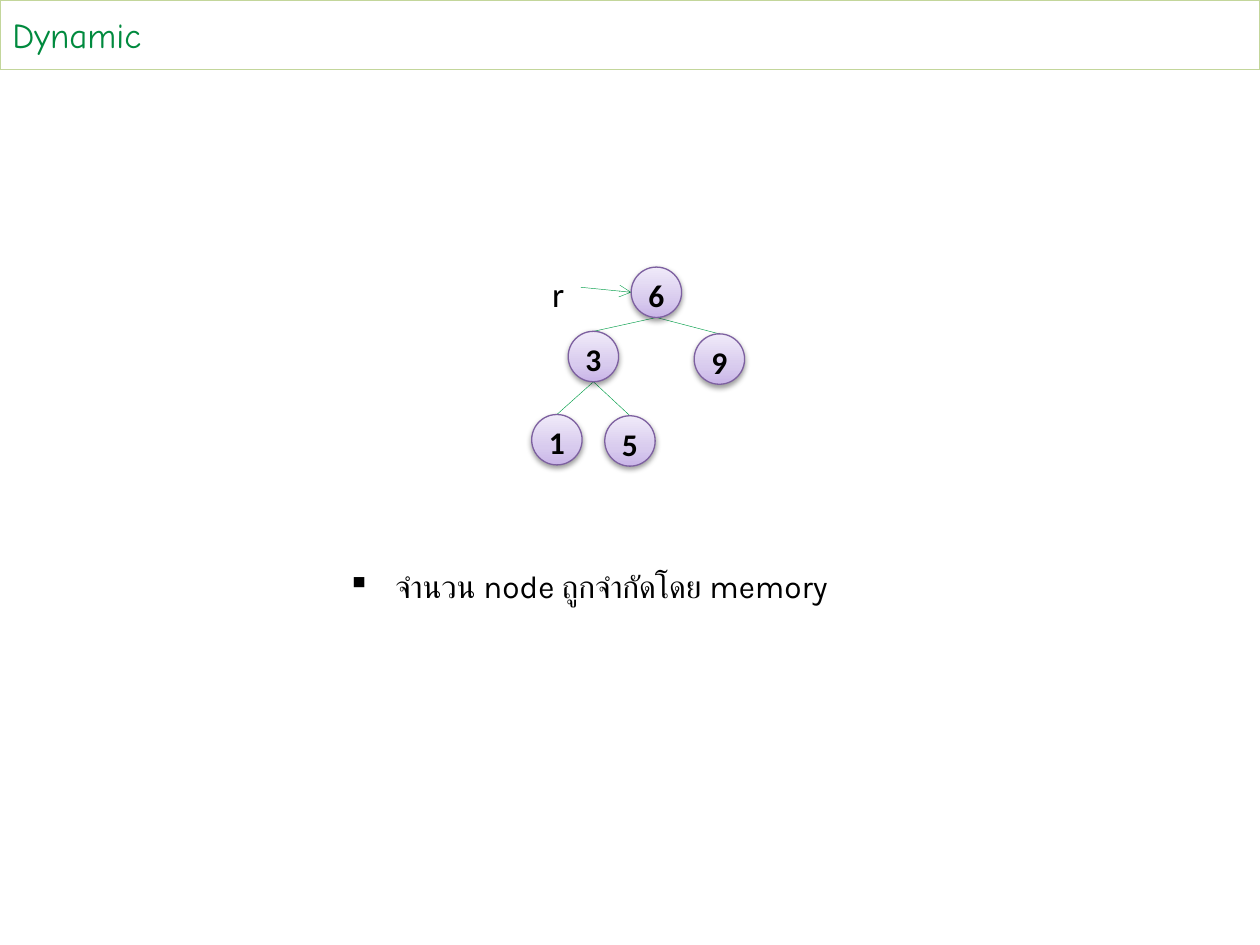
from collections import namedtuple
from dataclasses import dataclass

from lxml.etree import SubElement
from pptx import Presentation
from pptx.dml.color import RGBColor
from pptx.enum.shapes import MSO_CONNECTOR as Link, MSO_SHAPE as Preset
from pptx.enum.text import MSO_ANCHOR as Anchor, MSO_AUTO_SIZE as AutoSize, PP_ALIGN as Align
from pptx.oxml import parse_xml
from pptx.oxml.ns import nsdecls, qn
from pptx.util import Inches, Pt

Box = namedtuple("Box", "left top width height")


@dataclass(frozen=True)
class Theme:
    """Colours, fonts and type sizes of the slide."""
    title: str = "008A3E"
    title_border: str = "C3D69B"
    edge: str = "009E47"
    node_border: str = "7D60A0"
    node_stops: tuple = ((0, "C9B5E8"), (35, "D8CBEE"), (100, "F0EAF9"))
    ink: str = "000000"
    title_font: str = "Comic Neue"
    body_font: str = "Karla"
    node_font: str = "Calibri"
    large: int = 20
    normal: int = 18


THEME = Theme()


def rgb(value):
    """Turn a hex string into a colour."""
    return RGBColor.from_string(value)


def lengths(box):
    """Convert the numbers of a box to inches."""
    return [Inches(value) for value in box]


def write(shape, text, font, size, color=THEME.ink, bold=False, align=Align.LEFT,
          anchor=Anchor.TOP, wrap=True, insets=(0.1, 0.05, 0.1, 0.05), bullet=None, indent=0):
    """Put one formatted paragraph in a shape."""
    frame = shape.text_frame
    frame.word_wrap, frame.vertical_anchor = wrap, anchor
    frame.margin_left, frame.margin_top, frame.margin_right, frame.margin_bottom = lengths(insets)
    para = frame.paragraphs[0]
    para.alignment = align
    if bullet:
        props = para._p.get_or_add_pPr()
        props.set("marL", str(Inches(indent)))
        props.set("indent", str(-Inches(indent)))
        SubElement(props, qn("a:buChar"), char=bullet)
    span = para.add_run()
    span.text = text
    span.font.name, span.font.size, span.font.bold = font, Pt(size), bold
    span.font.color.rgb = rgb(color)


def add_title(page, box, text):
    """Draw the outlined title bar."""
    bar = page.shapes.add_shape(Preset.RECTANGLE, *lengths(box))
    bar.shadow.inherit = False
    bar.fill.background()
    bar.line.color.rgb, bar.line.width = rgb(THEME.title_border), Pt(0.75)
    write(bar, text, THEME.title_font, THEME.large, THEME.title, anchor=Anchor.MIDDLE)


def add_edge(page, start, end, arrow=False):
    """Draw a thin line between two points, with an optional arrowhead."""
    edge = page.shapes.add_connector(Link.STRAIGHT, *lengths(start + end))
    edge.line.color.rgb, edge.line.width = rgb(THEME.edge), Pt(0.25)
    SubElement(edge._element.spPr, qn("a:effectLst"))
    if arrow:
        SubElement(edge.line._get_or_add_ln(), qn("a:tailEnd"), type="arrow")


def add_node(page, box, text):
    """Draw a shaded round tree node with its key."""
    node = page.shapes.add_shape(Preset.OVAL, *lengths(box))
    node.line.color.rgb, node.line.width = rgb(THEME.node_border), Pt(0.75)
    node.shadow.inherit = False
    props = node._element.spPr
    stops = "".join(f'<a:gs pos="{place * 1000}"><a:srgbClr val="{color}"/></a:gs>'
                    for place, color in THEME.node_stops)
    props.find(qn("a:prstGeom")).addnext(parse_xml(
        f'<a:gradFill {nsdecls("a")} rotWithShape="1"><a:gsLst>{stops}</a:gsLst>'
        '<a:lin ang="16200000" scaled="0"/></a:gradFill>'))
    shadow = SubElement(props.find(qn("a:effectLst")), qn("a:outerShdw"), blurRad=str(Pt(3.1)),
                        dist=str(Pt(1.6)), dir="5400000", rotWithShape="0")
    tint = SubElement(shadow, qn("a:srgbClr"), val=THEME.ink)
    SubElement(tint, qn("a:alpha"), val="38000")
    write(node, text, THEME.node_font, THEME.normal, bold=True, align=Align.CENTER,
          anchor=Anchor.MIDDLE, insets=(0, 0.04, 0, 0))


def add_tree(page, box, pointer):
    """Draw the binary tree and the pointer to its root."""
    size = 0.4
    places = {"6": (0.79, 0.01), "3": (0.29, 0.52), "9": (1.29, 0.54),
              "1": (0, 1.18), "5": (0.58, 1.19)}
    nodes = {key: Box(box.left + x, box.top + y, size, size) for key, (x, y) in places.items()}
    for parent, child in ("63", "69", "31", "35"):
        upper, lower = nodes[parent], nodes[child]
        add_edge(page, (upper.left + size / 2, upper.top + size),
                 (lower.left + size / 2, lower.top))
    root = nodes["6"]
    add_edge(page, (box.left + 0.39, box.top + 0.17), (root.left, root.top + size / 2), arrow=True)
    for key, place in nodes.items():
        add_node(page, place, key)
    label = page.shapes.add_textbox(*lengths((box.left + 0.06, box.top, 0.3, 0.44)))
    write(label, pointer, THEME.node_font, THEME.large, align=Align.CENTER, wrap=False)
    label.text_frame.auto_size = AutoSize.SHAPE_TO_FIT_TEXT


def add_note(page, box, text):
    """Write the bulleted remark below the tree."""
    note = page.shapes.add_textbox(*lengths(box))
    write(note, text, THEME.body_font, THEME.normal, bullet="▪", indent=0.38)


def main():
    """Build and save the slide."""
    deck = Presentation()
    deck.slide_width, deck.slide_height = Inches(10), Inches(7.5)
    page = deck.slides.add_slide(deck.slide_layouts[6])
    add_title(page, Box(0, 0, 10, 0.55), "Dynamic")
    add_note(page, Box(2.66, 4.45, 5.16, 0.54), "จำนวน node ถูกจำกัดโดย memory")
    add_tree(page, Box(4.22, 2.11, 1.69, 1.59), "r")
    deck.save("out.pptx")


if __name__ == "__main__":
    main()
